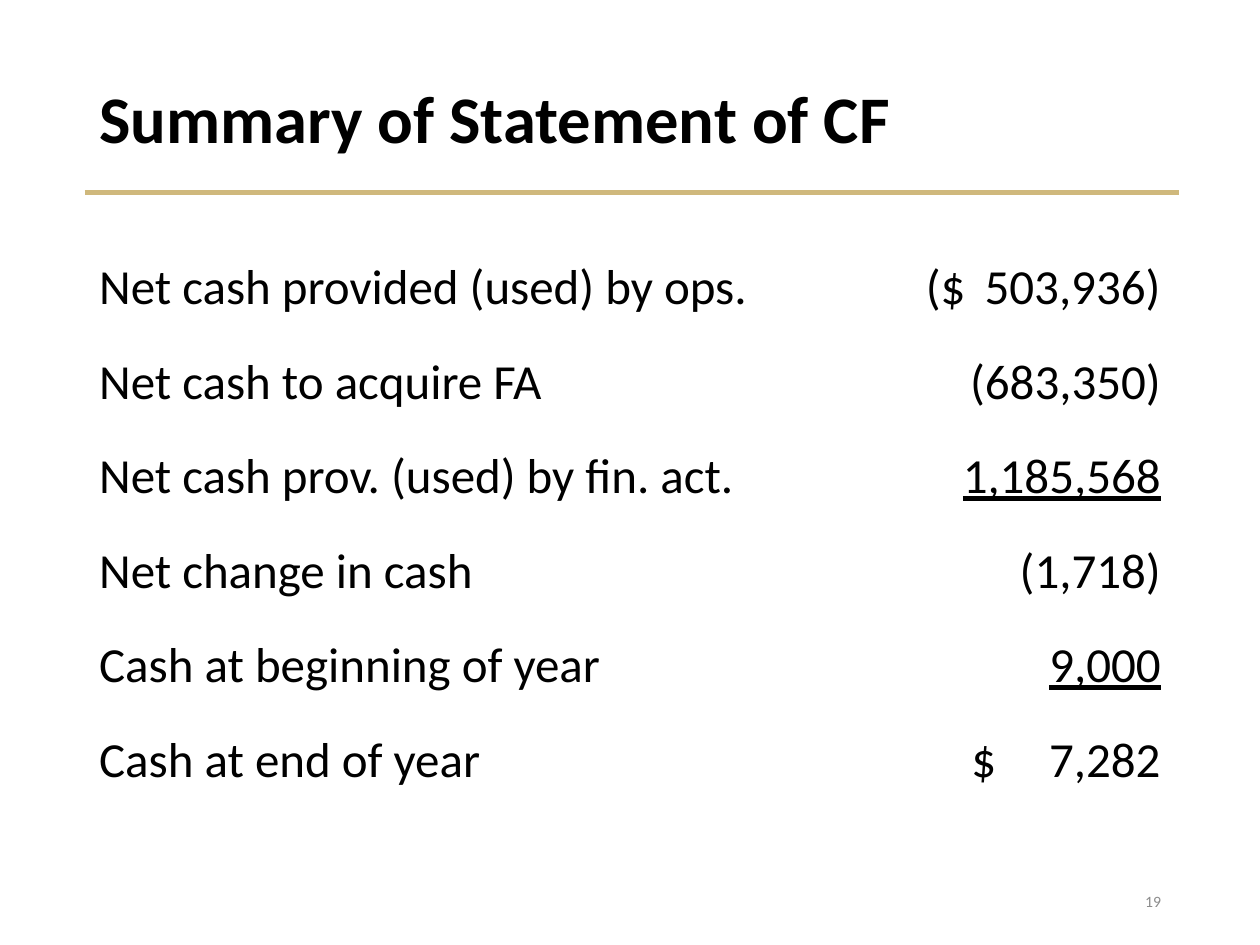
from dataclasses import dataclass

from lxml.etree import SubElement
from pptx import Presentation
from pptx.dml.color import RGBColor
from pptx.enum.shapes import MSO_CONNECTOR as Connector
from pptx.enum.text import MSO_ANCHOR as Anchor, PP_ALIGN as Align
from pptx.oxml.ns import qn
from pptx.util import Pt


@dataclass(frozen=True)
class Theme:
    """Colours and type sizes of the deck."""
    font: str = "Calibri"
    ink: str = "000000"
    gold: str = "CFB87C"
    grey: str = "8C8C8C"
    title_size: int = 38
    table_size: int = 28
    number_size: int = 9


@dataclass(frozen=True)
class Box:
    """A region of the slide in points."""
    left: float
    top: float
    width: float
    height: float

    def lengths(self):
        """Return the four sides as lengths."""
        return Pt(self.left), Pt(self.top), Pt(self.width), Pt(self.height)


THEME = Theme()
LABEL_SHARE = 0.73
CASH_ROWS = [
    ("Net cash provided (used) by ops.", "\t($\t503,936)", False, 19),
    ("Net cash to acquire FA", "(683,350)", False, None),
    ("Net cash prov. (used) by fin. act.", "1,185,568", True, None),
    ("Net change in cash", "(1,718)", False, None),
    ("Cash at beginning of year", "9,000", True, None),
    ("Cash at end of year", "\t$\t7,282", False, 45),
]


def add_span(para, text, size, color, bold=False, underline=False):
    """Add one formatted run to a paragraph."""
    span = para.add_run()
    span.text = text
    font = span.font
    font.name, font.size = THEME.font, Pt(size)
    font.bold, font.underline = bold, underline
    font.color.rgb = RGBColor.from_string(color)


def add_tabs(para, stops):
    """Give a paragraph tab stops from (position, alignment) pairs."""
    tabs = SubElement(para._p.get_or_add_pPr(), qn("a:tabLst"))
    for position, alignment in stops:
        SubElement(tabs, qn("a:tab"), pos=str(Pt(position)), algn=alignment)


def add_heading(page, box, text):
    """Place the title and the gold rule along its lower edge."""
    title = page.shapes.title
    title.left, title.top, title.width, title.height = box.lengths()
    frame = title.text_frame
    frame.vertical_anchor = Anchor.MIDDLE
    para = frame.paragraphs[0]
    para.alignment, para.line_spacing = Align.LEFT, 0.9
    add_span(para, text, THEME.title_size, THEME.ink, bold=True)
    bottom = Pt(box.top + box.height)
    rule = page.shapes.add_connector(
        Connector.STRAIGHT, Pt(box.left - 1), bottom,
        Pt(box.left + box.width + 3), bottom)
    rule.line.color.rgb = RGBColor.from_string(THEME.gold)
    rule.line.width = Pt(3)
    SubElement(rule._element.spPr, qn("a:effectLst"))


def add_cash_table(page, box, rows):
    """Place the table of cash lines with labels and right-set amounts."""
    table = page.shapes.add_table(len(rows), 2, *box.lengths()).table
    table.first_row = table.horz_banding = False
    label_width = box.width * LABEL_SHARE
    amount_width = box.width - label_width
    for column, width in zip(table.columns, (label_width, amount_width)):
        column.width = Pt(width)
    for index, (label, amount, underline, dollar_at) in enumerate(rows):
        table.rows[index].height = Pt(box.height / len(rows))
        cells = table.cell(index, 0), table.cell(index, 1)
        for cell in cells:
            cell.fill.background()
        label_para, amount_para = (
            cell.text_frame.paragraphs[0] for cell in cells)
        add_span(label_para, label, THEME.table_size, THEME.ink)
        if dollar_at is None:
            amount_para.alignment = Align.RIGHT
        else:
            amount_para.alignment = Align.LEFT
            add_tabs(amount_para, [(dollar_at, "l"), (amount_width - 14.5, "r")])
        add_span(amount_para, amount, THEME.table_size, THEME.ink,
                 underline=underline)


def add_page_number(page, box, number):
    """Place the page number at the right of its box."""
    frame = page.shapes.add_textbox(*box.lengths()).text_frame
    frame.word_wrap = True
    frame.vertical_anchor = Anchor.MIDDLE
    para = frame.paragraphs[0]
    para.alignment = Align.RIGHT
    add_span(para, number, THEME.number_size, THEME.grey)


def main():
    """Build the deck and save it."""
    deck = Presentation()
    deck.slide_width, deck.slide_height = Pt(720), Pt(540)
    page = deck.slides.add_slide(deck.slide_layouts.get_by_name("Title Only"))
    add_heading(page, Box(49.5, 29, 621, 81), "Summary of Statement of CF")
    add_cash_table(page, Box(49.5, 144, 621, 324), CASH_ROWS)
    add_page_number(page, Box(508.5, 500.5, 162, 29), "19")
    deck.save("out.pptx")


if __name__ == "__main__":
    main()
